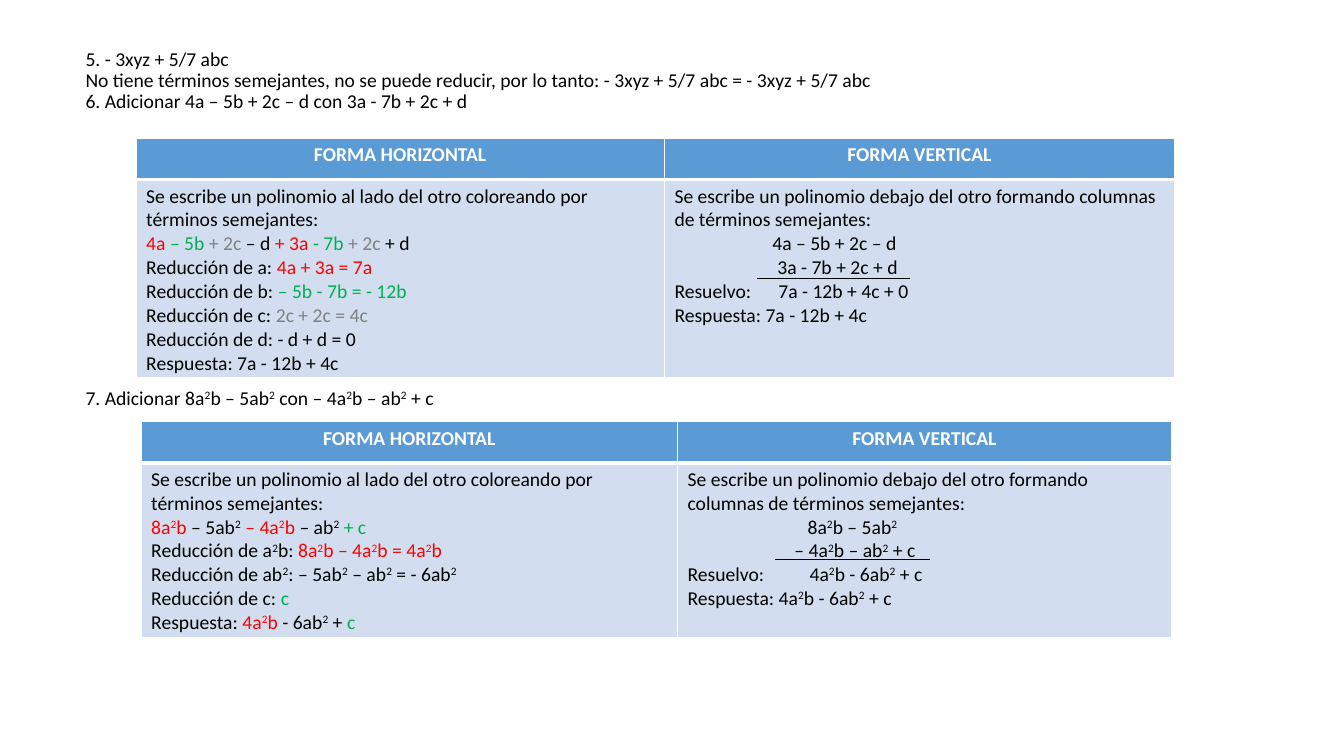
from lxml import etree
from pptx import Presentation
from pptx.dml.color import RGBColor
from pptx.enum.shapes import MSO_CONNECTOR
from pptx.enum.text import PP_ALIGN
from pptx.oxml import parse_xml
from pptx.oxml.ns import nsdecls, qn
from pptx.util import Inches, Pt

STRAIGHT = MSO_CONNECTOR.STRAIGHT
CENTER = PP_ALIGN.CENTER
BLACK, WHITE = "000000", "FFFFFF"
RED, GREEN, GRAY = "FF0000", "00B050", "808080"
HEADER_FILL, BODY_FILL = "5B9BD5", "D2DEEF"


def paint(fill, color):
    fill.solid()
    fill.fore_color.rgb = RGBColor.from_string(color)


def write(p, line, color=BLACK, bold=False):
    """Write a string or (text, color) parts; each ² becomes a raised 2."""
    parts = [(line, color)] if isinstance(line, str) else line
    for text, part_color in parts:
        for piece in text.replace("²", "|²|").split("|"):
            if not piece:
                continue
            r = p.add_run()
            r.text = "2" if piece == "²" else piece
            r.font.name, r.font.size, r.font.bold = "Calibri", Pt(14), bold
            paint(r.font.fill, part_color)
            if piece == "²":
                r.font._element.set("baseline", "30000")


prs = Presentation()
prs.slide_width, prs.slide_height = Inches(13.33), Inches(7.5)
s = prs.slides.add_slide(prs.slide_layouts[6])

statements = [
    (0.44, 11.5, 0.78, 0.9, [
        "5. - 3xyz + 5/7 abc",
        "No tiene términos semejantes, no se puede reducir, por lo tanto: "
        "- 3xyz + 5/7 abc = - 3xyz + 5/7 abc",
        "6. Adicionar 4a – 5b + 2c – d con 3a - 7b + 2c + d",
    ]),
    (3.78, 10.67, 0.34, 1.0, ["7. Adicionar 8a²b – 5ab² con – 4a²b – ab² + c"]),
]
for top, width, height, spacing, lines in statements:
    tf = s.shapes.add_textbox(Inches(0.75), Inches(top), Inches(width), Inches(height)).text_frame
    tf.word_wrap = True
    for i, line in enumerate(lines):
        p = tf.add_paragraph() if i else tf.paragraphs[0]
        p.line_spacing = spacing
        write(p, line)

HORIZONTAL_INTRO = ("Se escribe un polinomio al lado del otro coloreando por "
                    "términos semejantes:")
VERTICAL_INTRO = ("Se escribe un polinomio debajo del otro formando columnas "
                  "de términos semejantes:")

# Each exercise: left, top, column widths, body height, horizontal lines,
# vertical lines, indents of the vertical lines, tab stop of the result
exercises = [
    (1.35, 1.37, (5.24, 5.06), 1.97, [
        HORIZONTAL_INTRO,
        [("4a ", RED), ("– 5b ", GREEN), ("+ 2c ", GRAY), ("– d ", BLACK),
         ("+ 3a ", RED), ("- 7b ", GREEN), ("+ 2c ", GRAY), ("+ d", BLACK)],
        [("Reducción de a: ", BLACK), ("4a + 3a = 7a", RED)],
        [("Reducción de b: ", BLACK), ("– 5b - 7b = - 12b", GREEN)],
        [("Reducción de c: ", BLACK), ("2c + 2c = 4c", GRAY)],
        "Reducción de d: - d + d = 0",
        "Respuesta: 7a - 12b + 4c",
    ], [
        VERTICAL_INTRO,
        "4a – 5b + 2c – d",
        "3a - 7b + 2c + d",
        "Resuelvo:\t7a - 12b + 4c + 0",
        "Respuesta: 7a - 12b + 4c",
    ], {1: 0.97, 2: 1.02}, 1.03),
    (1.4, 4.18, (5.32, 4.9), 1.73, [
        HORIZONTAL_INTRO,
        [("8a²b", RED), (" – 5ab² ", BLACK), ("– 4a²b ", RED),
         ("– ab² ", BLACK), ("+ c", GREEN)],
        [("Reducción de a²b: ", BLACK), ("8a²b – 4a²b = 4a²b", RED)],
        "Reducción de ab²: – 5ab² – ab² = - 6ab²",
        [("Reducción de c: ", BLACK), ("c", GREEN)],
        [("Respuesta: ", BLACK), ("4a²b ", RED), ("- 6ab² + ", BLACK), ("c", GREEN)],
    ], [
        VERTICAL_INTRO,
        "8a²b – 5ab²",
        "– 4a²b – ab² + c",
        "Resuelvo:\t4a²b - 6ab² + c",
        "Respuesta: 4a²b - 6ab² + c",
    ], {1: 1.19, 2: 1.06}, 1.21),
]
HEADER_HEIGHT = 0.41
for left, top, widths, body_height, horizontal, vertical, indents, tab in exercises:
    table = s.shapes.add_table(2, 2, Inches(left), Inches(top), Inches(sum(widths)),
                               Inches(HEADER_HEIGHT + body_height)).table
    table.rows[0].height = Inches(HEADER_HEIGHT)
    table.rows[1].height = Inches(body_height)
    columns = [("FORMA HORIZONTAL", horizontal), ("FORMA VERTICAL", vertical)]
    for col, (title, lines) in enumerate(columns):
        table.columns[col].width = Inches(widths[col])
        header, body = table.cell(0, col), table.cell(1, col)
        for cell, color, thick in ((header, HEADER_FILL, "lnB"), (body, BODY_FILL, "lnT")):
            for side in ("lnL", "lnR", "lnT", "lnB"):
                width = Pt(3 if side == thick else 1)
                cell._tc.get_or_add_tcPr().append(parse_xml(
                    f'<a:{side} {nsdecls("a")} w="{width}"><a:solidFill>'
                    f'<a:srgbClr val="{WHITE}"/></a:solidFill></a:{side}>'))
            paint(cell.fill, color)
        p = header.text_frame.paragraphs[0]
        p.alignment = CENTER
        write(p, title, WHITE, True)
        tf = body.text_frame
        for i, line in enumerate(lines):
            p = tf.add_paragraph() if i else tf.paragraphs[0]
            write(p, line)
            if lines is vertical and i in indents:
                p._p.get_or_add_pPr().set("marL", str(Inches(indents[i])))
            if "\t" in line:
                p._p.get_or_add_pPr().append(parse_xml(
                    f'<a:tabLst {nsdecls("a")}><a:tab pos="{Inches(tab)}" algn="l"/></a:tabLst>'))

for x1, x2, y in ((7.51, 9.03, 2.76), (7.69, 9.22, 5.55)):
    sum_line = s.shapes.add_connector(STRAIGHT, Inches(x1), Inches(y), Inches(x2), Inches(y))
    paint(sum_line.line.fill, BLACK)
    sum_line.line.width = Pt(0.5)
    etree.SubElement(sum_line._element.spPr, qn("a:effectLst"))

prs.save("out.pptx")
